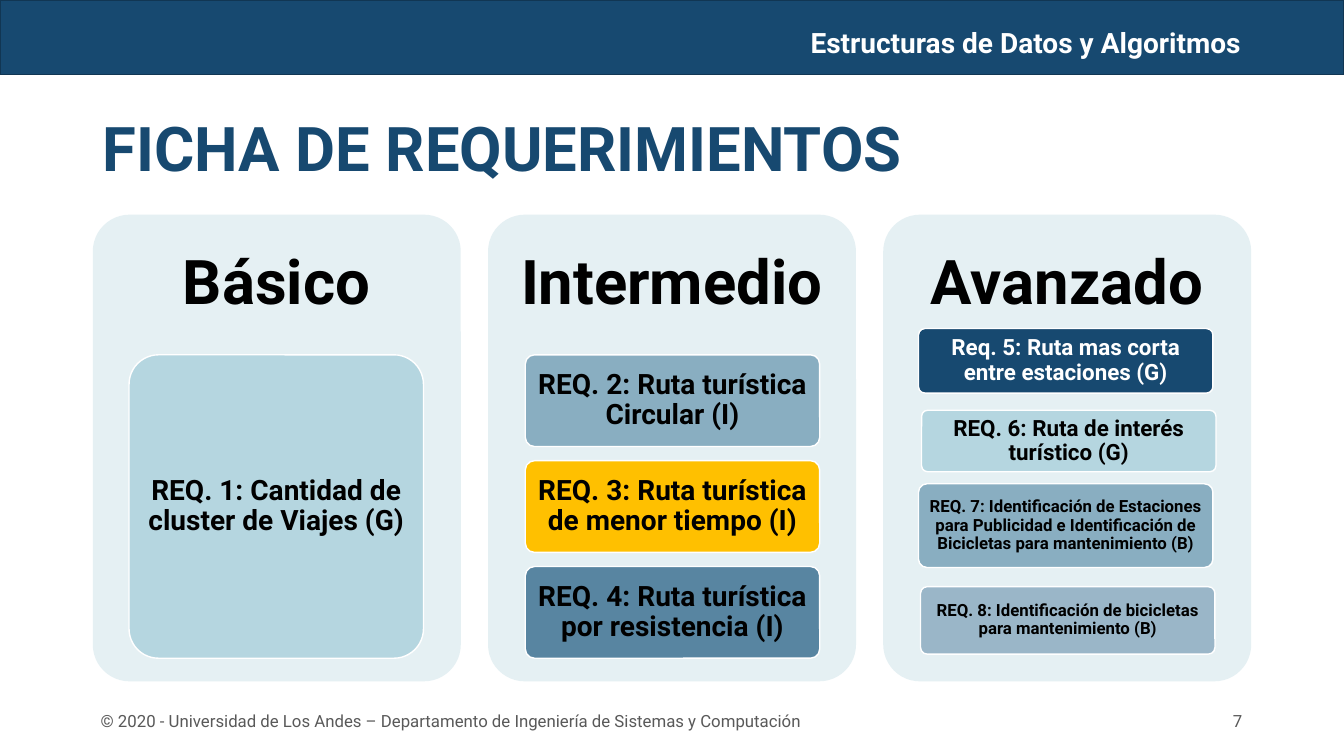
from dataclasses import dataclass

from lxml.etree import SubElement
from pptx import Presentation
from pptx.dml.color import RGBColor as Rgb
from pptx.enum.shapes import MSO_SHAPE as Form
from pptx.enum.text import MSO_ANCHOR as Anchor, MSO_AUTO_SIZE as Fit, PP_ALIGN as Align
from pptx.oxml.ns import qn
from pptx.util import Inches, Pt


@dataclass(frozen=True)
class Theme:
    font: str = "Roboto"
    navy: str = "174970"
    edge: str = "113653"
    panel: str = "E5F0F3"
    sky: str = "B5D6E0"
    steel: str = "89AEC1"
    gold: str = "FFC000"
    slate: str = "5885A1"
    mist: str = "9AB6C8"
    white: str = "FFFFFF"
    black: str = "000000"
    gray: str = "595959"
    big: int = 44
    mid: int = 20
    low: int = 16
    tiny: int = 12


class Deck:
    """Draws styled elements on the current slide."""

    def __init__(self, theme):
        self.theme = theme
        self.show = Presentation()
        self.show.slide_width, self.show.slide_height = Inches(13.33), Inches(7.5)
        self.slide = self.show.slides.add_slide(self.show.slide_layouts[1])

    def letter(self, shape, text, size, color, bold=True, align=Align.CENTER,
               anchor=Anchor.MIDDLE, pad=(0.1, 0.05), lead=0.9):
        frame = shape.text_frame
        frame.text = text
        frame.auto_size = Fit.NONE
        frame.word_wrap = True
        frame.vertical_anchor = anchor
        frame.margin_left = frame.margin_right = Inches(pad[0])
        frame.margin_top = frame.margin_bottom = Inches(pad[1])
        line = frame.paragraphs[0]
        line.alignment, line.line_spacing = align, lead
        font = line.font
        font.name, font.size, font.bold = self.theme.font, Pt(size), bold
        font.color.rgb = Rgb.from_string(color)
        return line

    def block(self, form, box, fill, edge=None):
        shape = self.slide.shapes.add_shape(form, *map(Inches, box))
        shape.shadow.inherit = False
        shape.fill.solid()
        shape.fill.fore_color.rgb = Rgb.from_string(fill)
        if edge:
            shape.line.color.rgb = Rgb.from_string(edge)
            shape.line.width = Pt(1)
        else:
            shape.line.fill.background()
        if form == Form.ROUNDED_RECTANGLE:
            shape.adjustments[0] = 0.1
        return shape

    def label(self, box, text, size, color, **style):
        shape = self.slide.shapes.add_textbox(*map(Inches, box))
        self.letter(shape, text, size, color, **style)

    def place(self, shape, box):
        shape.left, shape.top, shape.width, shape.height = map(Inches, box)

    def title(self, text, box):
        shape = self.slide.shapes.title
        self.place(shape, box)
        self.letter(shape, text, self.theme.big, self.theme.navy, align=Align.LEFT)

    def header(self, text, box):
        band = self.block(Form.RECTANGLE, (0, 0, 13.33, 0.74),
                          self.theme.navy, self.theme.edge)
        self.slide.shapes.title.element.addprevious(band.element)
        shape = self.slide.placeholders[1]
        self.place(shape, box)
        line = self.letter(shape, text, self.theme.mid, self.theme.white,
                           align=Align.RIGHT, anchor=Anchor.TOP)
        line.space_before = Pt(10)
        props = shape.element.find(".//" + qn("a:pPr"))
        props.set("marL", "0")
        props.set("indent", "0")
        props.find(qn("a:defRPr")).addprevious(SubElement(props, qn("a:buNone")))

    def card(self, left, name):
        self.block(Form.ROUNDED_RECTANGLE, (left, 2.13, 3.65, 4.63), self.theme.panel)
        self.label((left, 2.13, 3.65, 1.39), name, self.theme.big, self.theme.black,
                   pad=(0.18, 0.18))

    def task(self, left, top, high, fill, size, text):
        theme = self.theme
        shape = self.block(Form.ROUNDED_RECTANGLE, (left, top, 2.92, high),
                           fill, theme.white)
        color = theme.white if fill == theme.navy else theme.black
        pad = {theme.mid: (0.06, 0.04), theme.low: (0.04, 0.03)}.get(size, (0.03, 0.03))
        self.letter(shape, text, size, color, pad=pad)

    def footer(self, text, page):
        style = dict(bold=False, lead=1.0)
        size, color = self.theme.tiny, self.theme.gray
        self.label((0.9, 6.95, 7.95, 0.4), text, size, color, align=Align.LEFT, **style)
        self.label((10.87, 6.95, 1.55, 0.4), page, size, color, align=Align.RIGHT, **style)


def main():
    theme = Theme()
    deck = Deck(theme)
    deck.header("Estructuras de Datos y Algoritmos", (6.45, 0.24, 5.96, 0.4))
    deck.title("FICHA DE REQUERIMIENTOS", (0.92, 1.05, 11.5, 0.91))
    for col, name in enumerate(("Básico", "Intermedio", "Avanzado")):
        deck.card(0.92 + 3.92 * col, name)

    deck.task(1.28, 3.52, 3.01, theme.sky, theme.mid,
              "REQ. 1: Cantidad de cluster de Viajes (G)")
    middle = (
        (theme.steel, "REQ. 2: Ruta turística Circular (I)"),
        (theme.gold, "REQ. 3: Ruta turística de menor tiempo (I)"),
        (theme.slate, "REQ. 4: Ruta turística por resistencia (I)"),
    )
    for row, (fill, text) in enumerate(middle):
        deck.task(5.21, 3.52 + 1.05 * row, 0.91, fill, theme.mid, text)
    hard = (
        (9.11, 3.26, 0.64, theme.navy, theme.low,
         "Req. 5: Ruta mas corta entre estaciones (G)"),
        (9.14, 4.07, 0.61, theme.sky, theme.low,
         "REQ. 6: Ruta de interés turístico (G)"),
        (9.11, 4.8, 0.83, theme.steel, theme.tiny,
         "REQ. 7: Identificación de Estaciones para Publicidad e Identificación "
         "de Bicicletas para mantenimiento (B)"),
        (9.13, 5.82, 0.67, theme.mist, theme.tiny,
         "REQ. 8: Identificación de bicicletas para mantenimiento (B)"),
    )
    for item in hard:
        deck.task(*item)

    deck.footer("© 2020 - Universidad de Los Andes – Departamento de Ingeniería "
                "de Sistemas y Computación", "7")
    deck.show.save("out.pptx")


if __name__ == "__main__":
    main()
